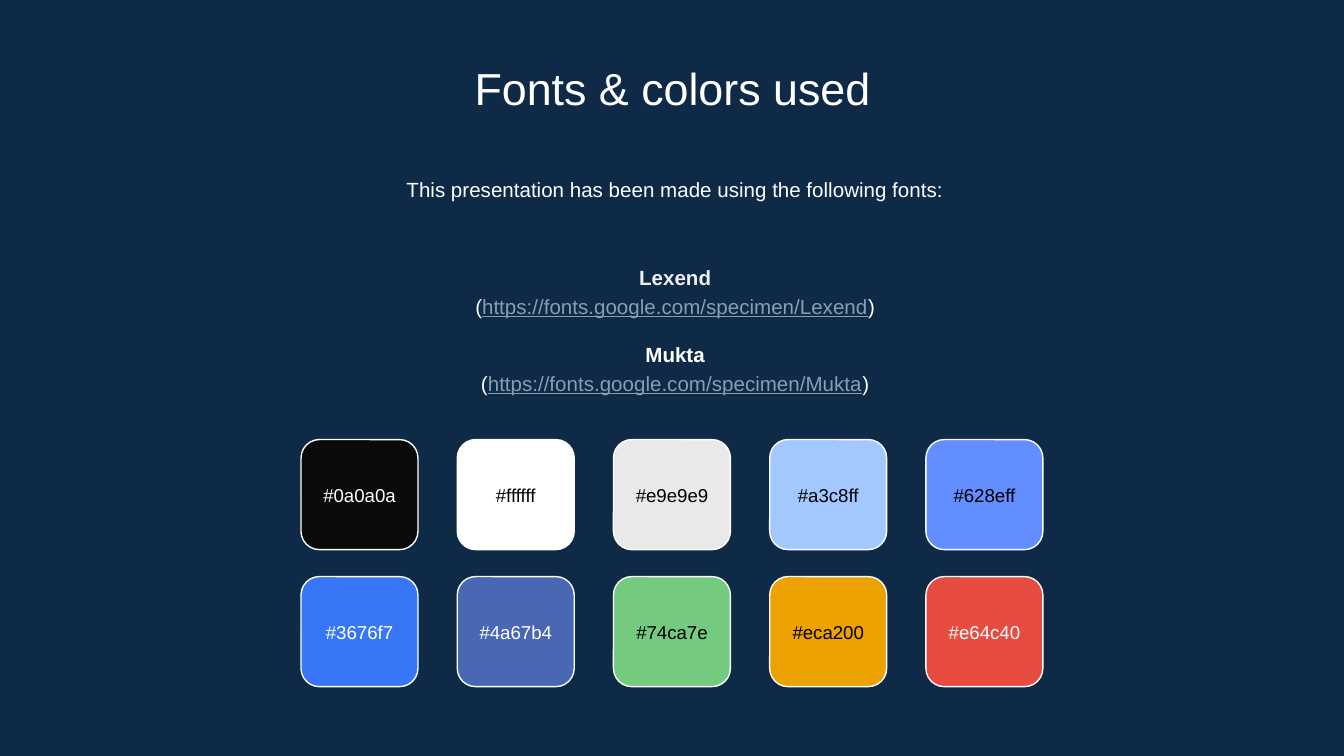
from lxml import etree
from pptx import Presentation
from pptx import util as u
from pptx.dml.color import RGBColor
from pptx.enum import shapes, text
from pptx.oxml.ns import qn

FONT = "Arial"
COLORS = {
    "background": "0E2A47",
    "white": "FFFFFF",
    "black": "000000",
    "heading": "EFEFEF",
    "link": "869FB2",
}
FONTS = [
    ("Lexend", "https://fonts.google.com/specimen/Lexend", "heading"),
    ("Mukta", "https://fonts.google.com/specimen/Mukta", "white"),
]
SWATCHES = [
    [("#0a0a0a", "white"), ("#ffffff", "black"), ("#e9e9e9", "black"),
     ("#a3c8ff", "black"), ("#628eff", "black")],
    [("#3676f7", "white"), ("#4a67b4", "white"), ("#74ca7e", "black"),
     ("#eca200", "black"), ("#e64c40", "white")],
]


def rgb(name):
    return RGBColor.from_string(COLORS[name])


def place(sp, box):
    sp.left, sp.top, sp.width, sp.height = (u.Cm(v) for v in box)


def set_frame(tf, anchor):
    tf.word_wrap = True
    tf.auto_size = text.MSO_AUTO_SIZE.NONE
    tf.vertical_anchor = anchor
    tf.margin_left = tf.margin_right = u.Cm(0.25)
    tf.margin_top = tf.margin_bottom = u.Cm(0.25)


def format_paragraph(p, spacing=1.0, before=0):
    pPr = p._p.get_or_add_pPr()
    pPr.set("marL", "0")
    pPr.set("indent", "0")
    etree.SubElement(pPr, qn("a:buNone"))
    p.alignment = text.PP_ALIGN.CENTER
    p.line_spacing = spacing
    p.space_before = u.Pt(before)


def format_run(r, size, color, bold=False, underline=False):
    r.font.name = FONT
    r.font.size = u.Pt(size)
    r.font.color.rgb = rgb(color)
    r.font.bold = bold
    r.font.underline = underline


def set_line(sp, content, size, color, anchor, spacing=1.0):
    tf = sp.text_frame
    set_frame(tf, anchor)
    tf.text = content
    p = tf.paragraphs[0]
    format_paragraph(p, spacing)
    format_run(p.runs[0], size, color)


def add_title(s, box):
    sp = s.shapes.title
    place(sp, box)
    set_line(sp, "Fonts & colors used", 24, "white", text.MSO_ANCHOR.TOP)


def add_intro(s, box):
    sp = s.shapes.add_textbox(*(u.Cm(v) for v in box))
    set_line(sp, "This presentation has been made using the following fonts:",
             11, "white", text.MSO_ANCHOR.TOP, 1.15)


def add_font_list(s, box):
    sp = s.placeholders[1]
    place(sp, box)
    tf = sp.text_frame
    set_frame(tf, text.MSO_ANCHOR.MIDDLE)
    for i, (name, link, color) in enumerate(FONTS):
        p = tf.add_paragraph() if i else tf.paragraphs[0]
        p.text = name
        format_paragraph(p, 1.15, 11 if i else 0)
        format_run(p.runs[0], 11, color, bold=True)
        p = tf.add_paragraph()
        format_paragraph(p, 1.15)
        for part in ("(", link, ")"):
            r = p.add_run()
            r.text = part
            is_link = part == link
            format_run(r, 11, "link" if is_link else "white", underline=is_link)


def add_swatches(s, box):
    left, top, width, height = box
    w, h = 2.21, 2.08
    step_x = (width - w) / (len(SWATCHES[0]) - 1)
    step_y = (height - h) / (len(SWATCHES) - 1)
    for row, swatches in enumerate(SWATCHES):
        for col, (code, color) in enumerate(swatches):
            sp = s.shapes.add_shape(
                shapes.MSO_SHAPE.ROUNDED_RECTANGLE,
                u.Cm(left + col * step_x), u.Cm(top + row * step_y),
                u.Cm(w), u.Cm(h))
            sp.shadow.inherit = False
            sp.fill.solid()
            sp.fill.fore_color.rgb = RGBColor.from_string(code[1:].upper())
            sp.line.color.rgb = rgb("white")
            sp.line.width = u.Pt(0.75)
            set_line(sp, code, 10, color, text.MSO_ANCHOR.MIDDLE)


def main():
    prs = Presentation()
    prs.slide_width, prs.slide_height = u.Cm(25.4), u.Cm(14.29)
    s = prs.slides.add_slide(prs.slide_layouts[1])
    s.background.fill.solid()
    s.background.fill.fore_color.rgb = rgb("background")
    add_title(s, (2.92, 0.89, 19.58, 1.35))
    add_intro(s, (2.97, 3.02, 19.58, 1.22))
    add_font_list(s, (2.97, 4.47, 19.58, 3.48))
    add_swatches(s, (5.69, 8.31, 14.02, 4.67))
    prs.save("out.pptx")


if __name__ == "__main__":
    main()
